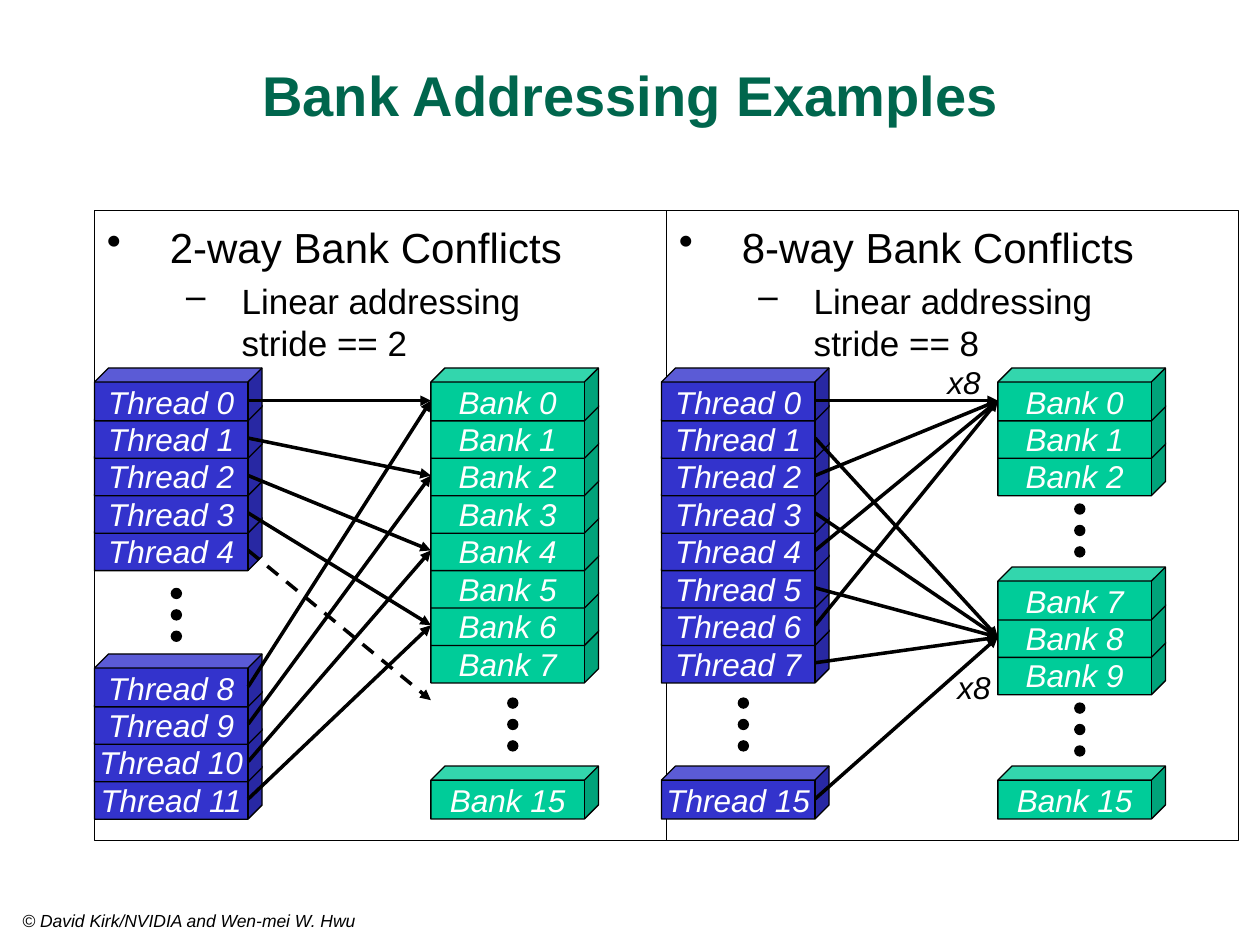
"""Build the Bank Addressing Examples slide: 2-way and 8-way bank conflicts."""
from lxml import etree
from pptx import Presentation
from pptx.dml import color
from pptx.enum import dml, shapes, text
from pptx.oxml import ns
from pptx.util import Inches, Pt

BLACK = color.RGBColor(0x00, 0x00, 0x00)
WHITE = color.RGBColor(0xFF, 0xFF, 0xFF)
TITLE_GREEN = color.RGBColor(0x00, 0x66, 0x4D)
THREAD_BLUE = color.RGBColor(0x33, 0x33, 0xCC)
BANK_GREEN = color.RGBColor(0x00, 0xCC, 0x99)

STACK_TOP = 2.92
PITCH = 2.08 / 7
CUBE_WIDTH, CUBE_HEIGHT = 1.33, 0.42
FRONT_WIDTH, FRONT_MIDDLE = 1.22, 0.26
BANK_OFFSET = 2.67
DOT_OFFSET, DOT_SIZE, DOT_PITCH = 0.58 + 0.03, 0.08, 0.17


def add_span(para, words, size, ink=BLACK, bold=False, italic=False):
    span = para.add_run()
    span.text = words
    span.font.name = "Arial"
    span.font.size = Pt(size)
    span.font.color.rgb = ink
    span.font.bold = bold
    span.font.italic = italic


def add_outlined(parent, kind, left, top, width, height, fill=None):
    shape = parent.add_shape(kind, Inches(left), Inches(top), Inches(width), Inches(height))
    shape.shadow.inherit = False
    shape.line.color.rgb = BLACK
    shape.line.width = Pt(0.75)
    if fill is None:
        shape.fill.background()
    else:
        shape.fill.solid()
        shape.fill.fore_color.rgb = fill
    return shape


deck = Presentation()
deck.slide_width, deck.slide_height = Inches(10), Inches(7.5)
page = deck.slides.add_slide(deck.slide_layouts[5])

title = page.shapes.title
title.left, title.top = Inches(0.17), Inches(0.33)
title.width, title.height = Inches(9.67), Inches(0.83)
title.text_frame.vertical_anchor = text.MSO_ANCHOR.MIDDLE
title_para = title.text_frame.paragraphs[0]
title_para.alignment = text.PP_ALIGN.CENTER
add_span(title_para, "Bank Addressing Examples", 32, TITLE_GREEN, bold=True)

for panel_left, ways in ((0.75, 2), (5.29, 8)):
    panel = add_outlined(page.shapes, shapes.MSO_SHAPE.RECTANGLE, panel_left, 1.67, 4.54, 5)
    frame = panel.text_frame
    frame.word_wrap = True
    frame.vertical_anchor = text.MSO_ANCHOR.TOP
    frame.margin_top = Inches(0.09)
    bullets = (
        ("•", 0.5, -0.5, 24, 0, [f"{ways}-way Bank Conflicts"]),
        ("–", 1.07, -0.44, 20, 4, ["Linear addressing", f"stride == {ways}"]),
    )
    for level, (mark, margin, indent, size, space, lines) in enumerate(bullets):
        para = frame.add_paragraph() if level else frame.paragraphs[0]
        para.level = level
        para.alignment = text.PP_ALIGN.LEFT
        para.space_before = Pt(space)
        properties = para._p.get_or_add_pPr()
        properties.set("marL", str(Inches(margin)))
        properties.set("indent", str(Inches(indent)))
        bullet = etree.SubElement(properties, ns.qn("a:buChar"))
        bullet.set("char", mark)
        for number, line in enumerate(lines):
            if number:
                para.add_line_break()
            add_span(para, line, size)

rows = {number: STACK_TOP + number * PITCH for number in range(9)}
left_threads = {number: rows[number] for number in range(5)}
left_threads.update({8 + step: 5.19 + step * PITCH for step in range(4)})
first_eight = {number: rows[number] for number in range(8)}
first_eight[15] = 6.08
right_banks = {number: rows[number] for number in range(3)}
right_banks.update({7 + step: 4.5 + step * PITCH for step in range(3)})
right_banks[15] = 6.08

diagrams = (
    {
        "left": 0.75, "threads": left_threads, "banks": first_eight,
        "thread_dots": [4.67], "bank_dots": [5.54],
        "links": [(thread, thread * 2 % 16) for thread in left_threads],
        "labels": [],
    },
    {
        "left": 5.25, "threads": first_eight, "banks": right_banks,
        "thread_dots": [5.54], "bank_dots": [4, 5.58],
        "links": [(thread, thread * 8 % 16) for thread in first_eight],
        "labels": [(7.42, 2.83), (7.5, 5.25)],
    },
)

for diagram in diagrams:
    group = page.shapes.add_group_shape().shapes
    thread_left = diagram["left"]
    bank_left = thread_left + BANK_OFFSET
    columns = (
        ("Thread", thread_left, diagram["threads"], THREAD_BLUE, diagram["thread_dots"]),
        ("Bank", bank_left, diagram["banks"], BANK_GREEN, diagram["bank_dots"]),
    )
    for name, left, tops, fill, dot_tops in columns:
        for number, top in sorted(tops.items(), reverse=True):
            cube = add_outlined(group, shapes.MSO_SHAPE.CUBE, left, top,
                                CUBE_WIDTH, CUBE_HEIGHT, fill)
            cube.adjustments[0] = 0.266
            cube.text_frame.word_wrap = False
            cube.text_frame.vertical_anchor = text.MSO_ANCHOR.MIDDLE
            para = cube.text_frame.paragraphs[0]
            para.alignment = text.PP_ALIGN.CENTER
            add_span(para, f"{name} {number}", 18, WHITE, italic=True)
        for dot_top in dot_tops:
            for step in range(3):
                add_outlined(group, shapes.MSO_SHAPE.OVAL, left + DOT_OFFSET,
                             dot_top + step * DOT_PITCH, DOT_SIZE, DOT_SIZE, BLACK)

    for thread, bank in diagram["links"]:
        beyond_stack = bank not in diagram["banks"]
        bank_top = rows[bank] if beyond_stack else diagram["banks"][bank]
        arrow = group.add_connector(
            shapes.MSO_CONNECTOR.STRAIGHT,
            Inches(thread_left + FRONT_WIDTH),
            Inches(diagram["threads"][thread] + FRONT_MIDDLE),
            Inches(bank_left), Inches(bank_top + FRONT_MIDDLE))
        arrow.line.color.rgb = BLACK
        arrow.line.width = Pt(2)
        if beyond_stack:
            arrow.line.dash_style = dml.MSO_LINE.DASH
        head = etree.SubElement(arrow.line._get_or_add_ln(), ns.qn("a:tailEnd"))
        head.set("type", "triangle")
        etree.SubElement(arrow._element.spPr, ns.qn("a:effectLst"))

    for label_left, label_top in diagram["labels"]:
        label = group.add_textbox(Inches(label_left), Inches(label_top), Inches(0.47), Inches(0.4))
        label.text_frame.word_wrap = False
        add_span(label.text_frame.paragraphs[0], "x8", 18, italic=True)

credit = page.shapes.add_textbox(Inches(0.08), Inches(7.17), Inches(4.33), Inches(0.25))
credit.text_frame.word_wrap = True
add_span(credit.text_frame.paragraphs[0], "© David Kirk/NVIDIA and Wen-mei W. Hwu", 10, italic=True)

deck.save("out.pptx")
